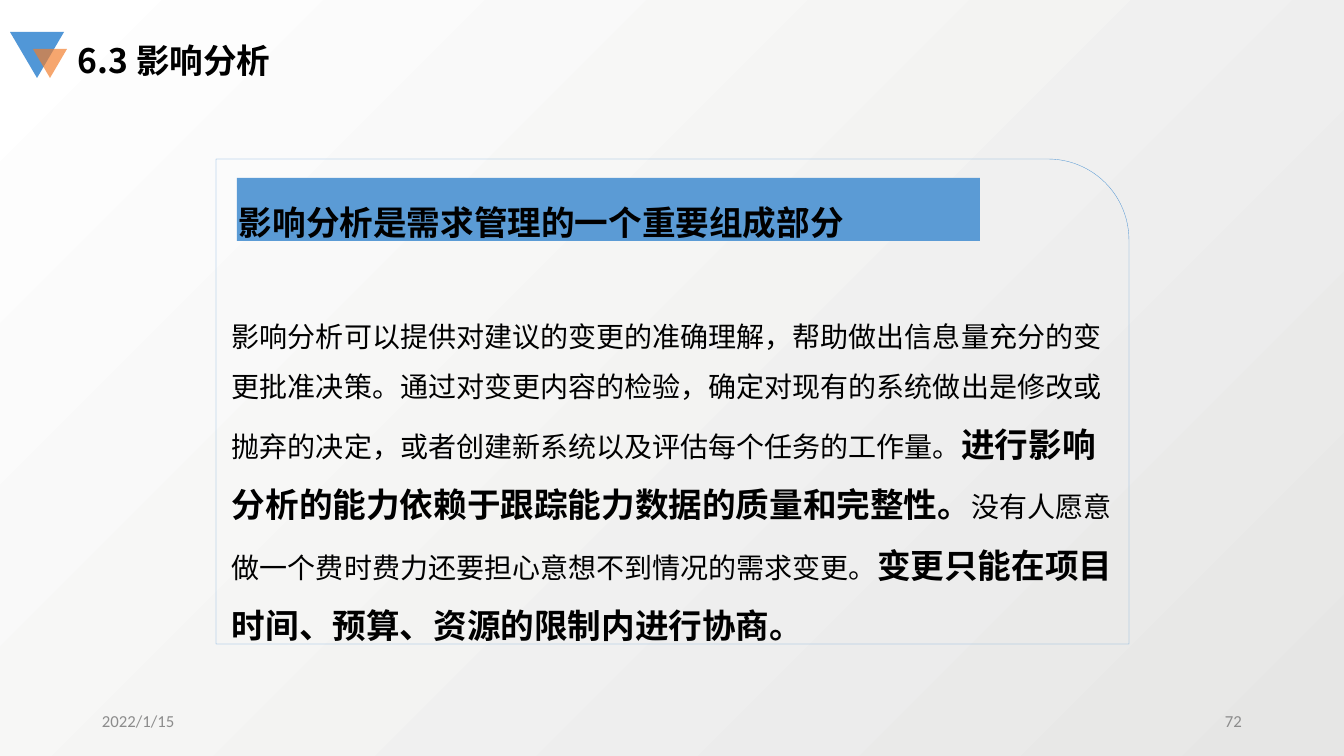
from dataclasses import dataclass

from lxml import etree
from pptx import Presentation
from pptx.dml.color import RGBColor
from pptx.enum.shapes import MSO_SHAPE
from pptx.enum.text import MSO_ANCHOR, MSO_AUTO_SIZE, PP_ALIGN
from pptx.oxml.ns import qn
from pptx.util import Emu, Pt

RECT = MSO_SHAPE.RECTANGLE
TRIANGLE = MSO_SHAPE.ISOSCELES_TRIANGLE
ROUND_ONE = MSO_SHAPE.ROUND_1_RECTANGLE
TOP, MIDDLE = MSO_ANCHOR.TOP, MSO_ANCHOR.MIDDLE
LEFT, RIGHT = PP_ALIGN.LEFT, PP_ALIGN.RIGHT
GROW, FIXED = MSO_AUTO_SIZE.SHAPE_TO_FIT_TEXT, MSO_AUTO_SIZE.NONE
EMU_PER_PX = 914400 / 100.8


@dataclass(frozen=True)
class Theme:
    """Colours, fonts and type sizes of the slide."""
    accent: str = "5B9BD5"
    mark_blue: str = "5197D7"
    mark_orange: str = "F37D2A"
    ink: str = "000000"
    muted: str = "8C8C8C"
    bg_dark: str = "E6E6E5"
    bg_light: str = "FFFFFF"
    cjk: str = "Noto Sans CJK SC"
    latin: str = "Calibri"
    strong: int = 24
    body: int = 20
    footer: int = 12


T = Theme()


def px(n):
    """Turn pixels into EMU."""
    return Emu(round(n * EMU_PER_PX))


def rgb(code):
    """Turn a hex code into a colour."""
    return RGBColor.from_string(code)


def paint_background(s):
    """Fill the slide with a diagonal gradient."""
    fill = s.background.fill
    fill.gradient()
    fill.gradient_angle = 135
    for stop, code, pos in zip(fill.gradient_stops, (T.bg_dark, T.bg_light), (0, 1)):
        stop.color.rgb = rgb(code)
        stop.position = pos


def add_shape(s, kind, box, fill=None, line=None, rotation=0, alpha=None):
    """Add a preset shape with an optional fill, outline and opacity."""
    sp = s.shapes.add_shape(kind, *map(px, box))
    sp.shadow.inherit = False
    sp.rotation = rotation
    if fill:
        sp.fill.solid()
        sp.fill.fore_color.rgb = rgb(fill)
    else:
        sp.fill.background()
    if line:
        sp.line.color.rgb = rgb(line)
        sp.line.width = Pt(0.25)
    else:
        sp.line.fill.background()
    if alpha:
        color = sp._element.spPr.find(qn("a:solidFill")).find(qn("a:srgbClr"))
        etree.SubElement(color, qn("a:alpha")).set("val", str(alpha * 1000))


def add_text_box(s, box, anchor=TOP, auto_size=FIXED):
    """Add a wrapping text box and return its text frame."""
    tf = s.shapes.add_textbox(*map(px, box)).text_frame
    tf.word_wrap = True
    tf.auto_size = auto_size
    tf.vertical_anchor = anchor
    return tf


def add_run(p, text, size, bold=False, font=T.cjk, color=T.ink):
    """Add one formatted run to a paragraph."""
    r = p.add_run()
    r.text = text
    r.font.size = Pt(size)
    r.font.bold = bold
    r.font.name = font
    r.font.color.rgb = rgb(color)
    etree.SubElement(r._r.get_or_add_rPr(), qn("a:ea")).set("typeface", font)


def add_title(s, text):
    """Add the triangle mark and the section title."""
    add_shape(s, TRIANGLE, (10, 32, 54, 46), T.mark_blue, rotation=180)
    add_shape(s, TRIANGLE, (33, 49, 34, 29), T.mark_orange, rotation=180, alpha=68)
    tf = add_text_box(s, (68, 35, 338, 50), auto_size=GROW)
    add_run(tf.paragraphs[0], text, T.strong, True)


def add_body(s, heading, parts):
    """Add the heading and a paragraph of plain and strong parts."""
    tf = add_text_box(s, (222, 177, 913, 468), auto_size=GROW)
    p = tf.paragraphs[0]
    p.line_spacing = 1.5
    p._p.get_or_add_pPr().set("marL", str(px(7)))
    add_run(p, heading, T.strong, True)
    p = tf.add_paragraph()
    p.line_spacing = 1.5
    p.space_before = Pt(43)
    for text, strong in parts:
        add_run(p, text, T.strong if strong else T.body, strong)


def add_footer(s, left, text, align):
    """Add a small muted footer text."""
    p = add_text_box(s, (left, 701, 302, 40), MIDDLE).paragraphs[0]
    p.alignment = align
    add_run(p, text, T.footer, font=T.latin, color=T.muted)


def main():
    """Build the slide and save it."""
    prs = Presentation()
    prs.slide_width, prs.slide_height = px(1344), px(756)
    s = prs.slides.add_slide(prs.slide_layouts[6])
    paint_background(s)
    add_shape(s, RECT, (237, 178, 743, 63), T.accent)
    add_body(s, "影响分析是需求管理的一个重要组成部分", [
        ("影响分析可以提供对建议的变更的准确理解，帮助做出信息量充分的变更批准决策。"
         "通过对变更内容的检验，确定对现有的系统做出是修改或抛弃的决定，"
         "或者创建新系统以及评估每个任务的工作量。", False),
        ("进行影响分析的能力依赖于跟踪能力数据的质量和完整性。", True),
        ("没有人愿意做一个费时费力还要担心意想不到情况的需求变更。", False),
        ("变更只能在项目时间、预算、资源的限制内进行协商。", True),
    ])
    add_title(s, "6.3 影响分析")
    add_footer(s, 92, "2022/1/15", LEFT)
    add_shape(s, ROUND_ONE, (216, 159, 913, 485), line=T.accent)
    add_footer(s, 950, "72", RIGHT)
    prs.save("out.pptx")


if __name__ == "__main__":
    main()
